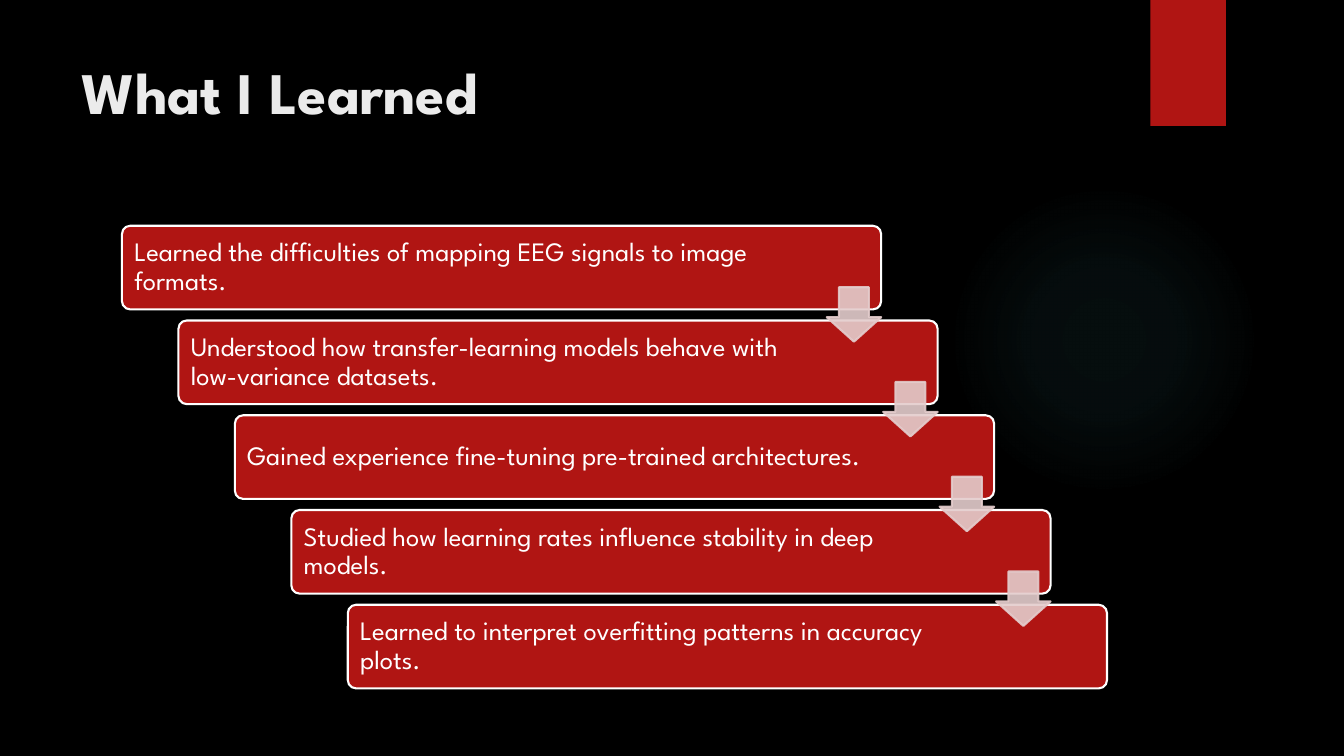
"""Build the "What I Learned" slide: five stepped bars joined by down arrows."""
from pptx import Presentation
from pptx.dml.color import RGBColor
from pptx.enum.shapes import MSO_SHAPE
from pptx.enum.text import MSO_ANCHOR, PP_ALIGN
from pptx.oxml import parse_xml
from pptx.oxml.ns import nsdecls, qn
from pptx.util import Inches, Pt

ELLIPSE = MSO_SHAPE.OVAL
RECTANGLE = MSO_SHAPE.RECTANGLE
ROUNDED = MSO_SHAPE.ROUNDED_RECTANGLE
DOWN_ARROW = MSO_SHAPE.DOWN_ARROW
TOP = MSO_ANCHOR.TOP
MIDDLE = MSO_ANCHOR.MIDDLE
LEFT = PP_ALIGN.LEFT

FONT = "League Spartan"
RED = "B01513"
WHITE = "FFFFFF"
PINK = "E4CCCC"
GLOW_STOPS = [(0, 7), (36, 6), (69, 0)]
LESSONS = [
    "Learned the difficulties of mapping EEG signals to image formats.",
    "Understood how transfer-learning models behave with low-variance datasets.",
    "Gained experience fine-tuning pre-trained architectures.",
    "Studied how learning rates influence stability in deep models.",
    "Learned to interpret overfitting patterns in accuracy plots.",
]
STEP_X, STEP_Y = 0.56, 0.94


def color(value):
    return RGBColor.from_string(value)


def add_filled_shape(kind, left, top, width, height, fill, line=None):
    shape = slide.shapes.add_shape(
        kind, Inches(left), Inches(top), Inches(width), Inches(height))
    shape.shadow.inherit = False
    shape.fill.solid()
    shape.fill.fore_color.rgb = color(fill)
    if line:
        shape.line.color.rgb = color(line)
        shape.line.width = Pt(1.5)
    else:
        shape.line.fill.background()
    return shape


presentation = Presentation()
presentation.slide_width = Inches(13.33)
presentation.slide_height = Inches(7.5)
slide = presentation.slides.add_slide(presentation.slide_layouts[5])
slide.background.fill.solid()
slide.background.fill.fore_color.rgb = color("000000")

glow = add_filled_shape(ELLIPSE, 9.41, 1.83, 3.08, 3.08, "50B9C1")
stops = "".join(
    f'<a:gs pos="{position * 1000}"><a:srgbClr val="50B9C1">'
    f'<a:alpha val="{opacity * 1000}"/></a:srgbClr></a:gs>'
    for position, opacity in GLOW_STOPS)
gradient = parse_xml(
    f'<a:gradFill {nsdecls("a")}><a:gsLst>{stops}</a:gsLst><a:path path="circle">'
    '<a:fillToRect l="50000" t="50000" r="50000" b="50000"/></a:path></a:gradFill>')
glow_properties = glow._element.spPr
glow_properties.replace(glow_properties.find(qn("a:solidFill")), gradient)

add_filled_shape(RECTANGLE, 11.41, 0, 0.75, 1.25, RED)

title = slide.shapes.title
title.left, title.top = Inches(0.71), Inches(0.5)
title.width, title.height = Inches(10.29), Inches(1.53)
title.text_frame.text = "What I Learned"
title.text_frame.vertical_anchor = TOP
title_paragraph = title.text_frame.paragraphs[0]
title_paragraph.alignment = LEFT
title_font = title_paragraph.runs[0].font
title_font.name = FONT
title_font.size = Pt(42)
title_font.bold = True
title_font.color.rgb = color("EBEBEB")

for index, lesson in enumerate(LESSONS):
    bar = add_filled_shape(ROUNDED, 1.21 + index * STEP_X, 2.24 + index * STEP_Y,
                           7.53, 0.83, RED, WHITE)
    bar.adjustments[0] = 0.1
    frame = bar.text_frame
    frame.text = lesson
    frame.word_wrap = True
    frame.vertical_anchor = MIDDLE
    frame.margin_left, frame.margin_right = Inches(0.1), Inches(1.2)
    frame.margin_top = frame.margin_bottom = Inches(0.08)
    paragraph = frame.paragraphs[0]
    paragraph.alignment = LEFT
    paragraph.line_spacing = 0.9
    font = paragraph.runs[0].font
    font.name = FONT
    font.size = Pt(19)
    font.color.rgb = color(WHITE)

for index in range(len(LESSONS) - 1):
    arrow = add_filled_shape(DOWN_ARROW, 8.2 + index * STEP_X, 2.85 + index * STEP_Y,
                             0.54, 0.54, PINK, PINK)
    arrow.adjustments[0] = 0.55
    arrow.adjustments[1] = 0.45
    for tint in arrow._element.spPr.iter(qn("a:srgbClr")):
        tint.append(parse_xml(f'<a:alpha {nsdecls("a")} val="90000"/>'))

presentation.save("out.pptx")
